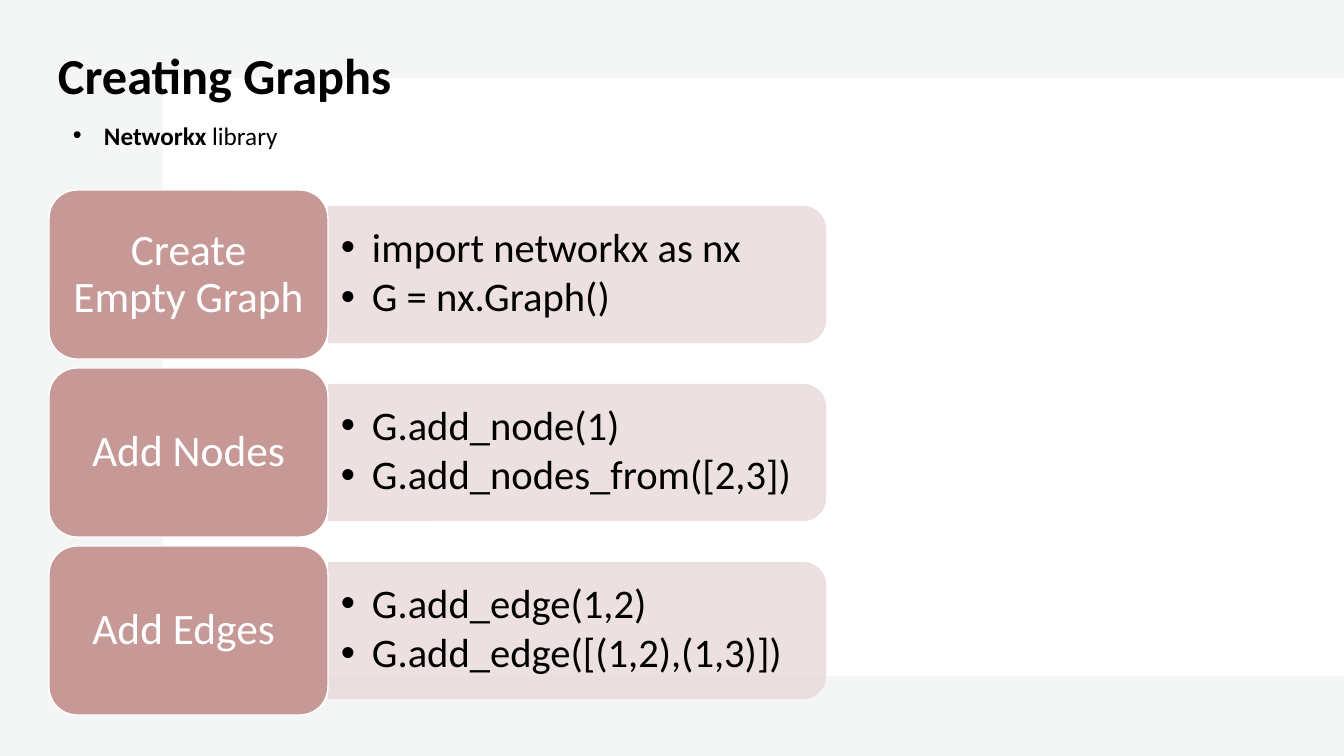
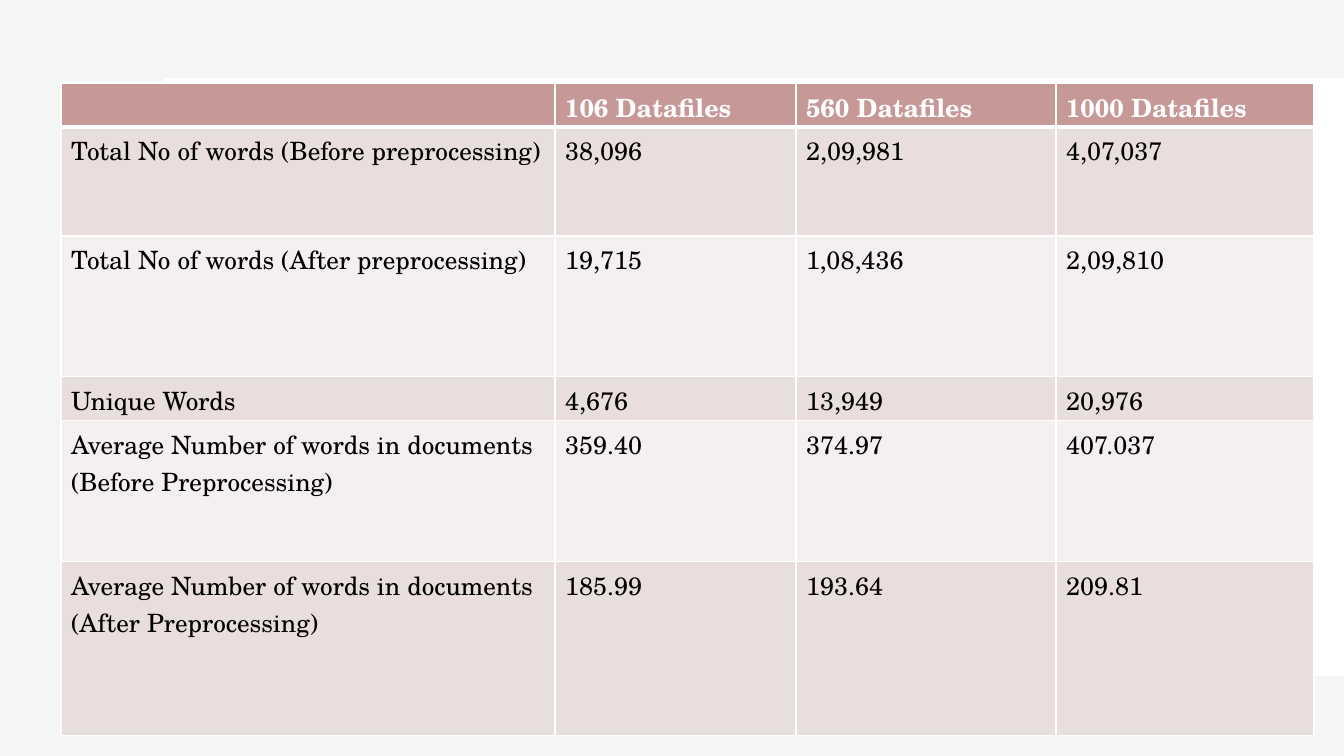
from dataclasses import dataclass

import lxml.etree
import pptx
import pptx.dml.color
import pptx.dml.fill
import pptx.enum.shapes
import pptx.enum.text
import pptx.oxml.ns
import pptx.presentation
import pptx.shapes.autoshape
import pptx.slide
import pptx.table
import pptx.text.text
import pptx.util

RGBColor = pptx.dml.color.RGBColor
ShapeType = pptx.enum.shapes.MSO_SHAPE
Anchor = pptx.enum.text.MSO_ANCHOR
Align = pptx.enum.text.PP_ALIGN

EMU_PER_PX = 914400 / 100.8
SLIDE_WIDTH, SLIDE_HEIGHT = 1344, 756
BULLET_INDENT = 31

WHITE = RGBColor(0xFF, 0xFF, 0xFF)
BLACK = RGBColor(0x00, 0x00, 0x00)
MIST = RGBColor(0xE2, 0xE8, 0xE8)
ROSE = RGBColor(0xC6, 0x98, 0x96)
BLUSH = RGBColor(0xEA, 0xDD, 0xDD)
PALE = RGBColor(0xF5, 0xEF, 0xEF)

SANS = "Calibri"
SERIF = "TeX Gyre Schola"


@dataclass(frozen=True)
class Box:
    left: int
    top: int
    width: int
    height: int


@dataclass(frozen=True)
class TextStyle:
    font: str
    size: int
    color: RGBColor
    bold: bool = False


@dataclass(frozen=True)
class Step:
    label: str
    code: tuple[str, ...]


@dataclass(frozen=True)
class TableRow:
    height: int
    cells: tuple[str, ...]


TITLE_STYLE = TextStyle(SANS, 36, BLACK, True)
LIBRARY_STYLE = TextStyle(SANS, 18, BLACK)
LIBRARY_NAME_STYLE = TextStyle(SANS, 18, BLACK, True)
CODE_STYLE = TextStyle(SANS, 29, BLACK)
CARD_STYLE = TextStyle(SANS, 31, WHITE)
HEADER_STYLE = TextStyle(SERIF, 18, WHITE, True)
CELL_STYLE = TextStyle(SERIF, 18, BLACK)

STEPS = (
    Step("Create Empty Graph ", ("import networkx as nx", "G = nx.Graph()")),
    Step("Add Nodes", ("G.add_node(1)", "G.add_nodes_from([2,3])")),
    Step("Add Edges ", ("G.add_edge(1,2)", "G.add_edge([(1,2),(1,3)])")),
)
STEP_TOP, STEP_PITCH = 190, 178

COLUMN_WIDTHS = (494, 241, 260, 258)
TABLE_ROWS = (
    TableRow(44, ("", "106 Datafiles", "560 Datafiles", "1000 Datafiles")),
    TableRow(109, ("Total No of words (Before preprocessing)", "38,096", "2,09,981", "4,07,037")),
    TableRow(141, ("Total No of words (After preprocessing)", "19,715", "1,08,436", "2,09,810")),
    TableRow(44, ("Unique Words", "4,676", "13,949", "20,976")),
    TableRow(141, ("Average Number of words in documents (Before Preprocessing)", "359.40", "374.97", "407.037")),
    TableRow(174, ("Average Number of words in documents (After Preprocessing)", "185.99", "193.64", "209.81")),
)


def px(length: float) -> pptx.util.Emu:
    return pptx.util.Emu(round(length * EMU_PER_PX))


def frame(box: Box) -> tuple[pptx.util.Emu, ...]:
    return px(box.left), px(box.top), px(box.width), px(box.height)


def paint(fill: pptx.dml.fill.FillFormat, color: RGBColor) -> None:
    fill.solid()
    fill.fore_color.rgb = color


def set_opacity(shape: pptx.shapes.autoshape.Shape, percent: int) -> None:
    for color in shape._element.spPr.iter(pptx.oxml.ns.qn("a:srgbClr")):
        alpha = lxml.etree.SubElement(color, pptx.oxml.ns.qn("a:alpha"))
        alpha.set("val", str(percent * 1000))


def add_shape(
    slide: pptx.slide.Slide,
    kind: ShapeType,
    box: Box,
    color: RGBColor,
    line: RGBColor | None = None,
    opacity: int = 100,
) -> pptx.shapes.autoshape.Shape:
    shape = slide.shapes.add_shape(kind, *frame(box))
    shape.shadow.inherit = False
    paint(shape.fill, color)
    if line is None:
        shape.line.fill.background()
    else:
        paint(shape.line.fill, line)
        shape.line.width = pptx.util.Pt(1)
    if opacity < 100:
        set_opacity(shape, opacity)
    return shape


def set_margins(text_frame: pptx.text.text.TextFrame, horizontal: int, vertical: int) -> None:
    text_frame.margin_left = text_frame.margin_right = px(horizontal)
    text_frame.margin_top = text_frame.margin_bottom = px(vertical)


def add_text_box(slide: pptx.slide.Slide, box: Box) -> pptx.text.text.TextFrame:
    text_frame = slide.shapes.add_textbox(*frame(box)).text_frame
    text_frame.word_wrap = True
    return text_frame


def add_run(paragraph: pptx.text.text._Paragraph, text: str, style: TextStyle) -> None:
    run = paragraph.add_run()
    run.text = text
    run.font.name = style.font
    run.font.size = pptx.util.Pt(style.size)
    run.font.color.rgb = style.color
    run.font.bold = style.bold


def add_bullet(paragraph: pptx.text.text._Paragraph) -> None:
    properties = paragraph._p.get_or_add_pPr()
    properties.set("marL", str(px(BULLET_INDENT)))
    properties.set("indent", str(-px(BULLET_INDENT)))
    font = lxml.etree.SubElement(properties, pptx.oxml.ns.qn("a:buFont"))
    font.set("typeface", "Arial")
    bullet = lxml.etree.SubElement(properties, pptx.oxml.ns.qn("a:buChar"))
    bullet.set("char", "•")


def add_slide(presentation: pptx.presentation.Presentation) -> pptx.slide.Slide:
    slide = presentation.slides.add_slide(presentation.slide_layouts[6])
    add_shape(slide, ShapeType.RECTANGLE, Box(0, 0, SLIDE_WIDTH, SLIDE_HEIGHT), MIST, opacity=35)
    add_shape(slide, ShapeType.RECTANGLE, Box(163, 78, SLIDE_WIDTH - 163, 598), WHITE)
    return slide


def add_code_panel(slide: pptx.slide.Slide, top: int, lines: tuple[str, ...]) -> None:
    left, width, height = 329, 497, 136
    shift = (width - height) // 2
    upright = Box(left + shift, top - shift, height, width)
    panel = add_shape(slide, ShapeType.ROUND_2_SAME_RECTANGLE, upright, BLUSH, BLUSH, 90)
    panel.rotation = 90

    text_frame = add_text_box(slide, Box(left, top + 7, width - 7, height - 14))
    set_margins(text_frame, 12, 6)
    text_frame.vertical_anchor = Anchor.MIDDLE
    for index, line in enumerate(lines):
        paragraph = text_frame.add_paragraph() if index else text_frame.paragraphs[0]
        add_bullet(paragraph)
        paragraph.line_spacing = 0.9
        paragraph.space_after = pptx.util.Pt(4)
        add_run(paragraph, line, CODE_STYLE)


def add_step(slide: pptx.slide.Slide, top: int, step: Step) -> None:
    add_code_panel(slide, top + 16, step.code)
    card = add_shape(slide, ShapeType.ROUNDED_RECTANGLE, Box(49, top, 279, 169), ROSE, WHITE)
    text_frame = card.text_frame
    text_frame.word_wrap = True
    text_frame.vertical_anchor = Anchor.MIDDLE
    set_margins(text_frame, 13, 6)
    paragraph = text_frame.paragraphs[0]
    paragraph.alignment = Align.CENTER
    paragraph.line_spacing = 0.9
    add_run(paragraph, step.label, CARD_STYLE)


def add_cell_borders(cell: pptx.table._Cell, top: int, bottom: int) -> None:
    properties = cell._tc.get_or_add_tcPr()
    for side, points in (("L", 1), ("R", 1), ("T", top), ("B", bottom)):
        line = lxml.etree.SubElement(properties, pptx.oxml.ns.qn(f"a:ln{side}"))
        line.set("w", str(pptx.util.Pt(points)))
        fill = lxml.etree.SubElement(line, pptx.oxml.ns.qn("a:solidFill"))
        color = lxml.etree.SubElement(fill, pptx.oxml.ns.qn("a:srgbClr"))
        color.set("val", str(WHITE))


def add_word_table(slide: pptx.slide.Slide) -> None:
    box = Box(61, 83, sum(COLUMN_WIDTHS), sum(row.height for row in TABLE_ROWS))
    table = slide.shapes.add_table(len(TABLE_ROWS), len(COLUMN_WIDTHS), *frame(box)).table
    table.horz_banding = False
    for column, width in zip(table.columns, COLUMN_WIDTHS):
        column.width = px(width)
    for index, row in enumerate(TABLE_ROWS):
        table.rows[index].height = px(row.height)
        color = ROSE if index == 0 else BLUSH if index % 2 else PALE
        style = CELL_STYLE if index else HEADER_STYLE
        for cell, text in zip(table.rows[index].cells, row.cells):
            add_cell_borders(cell, 3 if index == 1 else 1, 3 if index == 0 else 1)
            paint(cell.fill, color)
            if text:
                add_run(cell.text_frame.paragraphs[0], text, style)


def build_graphs_slide(presentation: pptx.presentation.Presentation) -> None:
    slide = add_slide(presentation)
    title = add_text_box(slide, Box(48, 39, 426, 72))
    add_run(title.paragraphs[0], "Creating Graphs", TITLE_STYLE)
    library = add_text_box(slide, Box(63, 115, 688, 72)).paragraphs[0]
    add_bullet(library)
    add_run(library, "Networkx", LIBRARY_NAME_STYLE)
    add_run(library, " library", LIBRARY_STYLE)
    for index, step in enumerate(STEPS):
        add_step(slide, STEP_TOP + index * STEP_PITCH, step)


def main() -> None:
    presentation = pptx.Presentation()
    presentation.slide_width = px(SLIDE_WIDTH)
    presentation.slide_height = px(SLIDE_HEIGHT)
    build_graphs_slide(presentation)
    add_word_table(add_slide(presentation))
    presentation.save("out.pptx")


if __name__ == "__main__":
    main()
